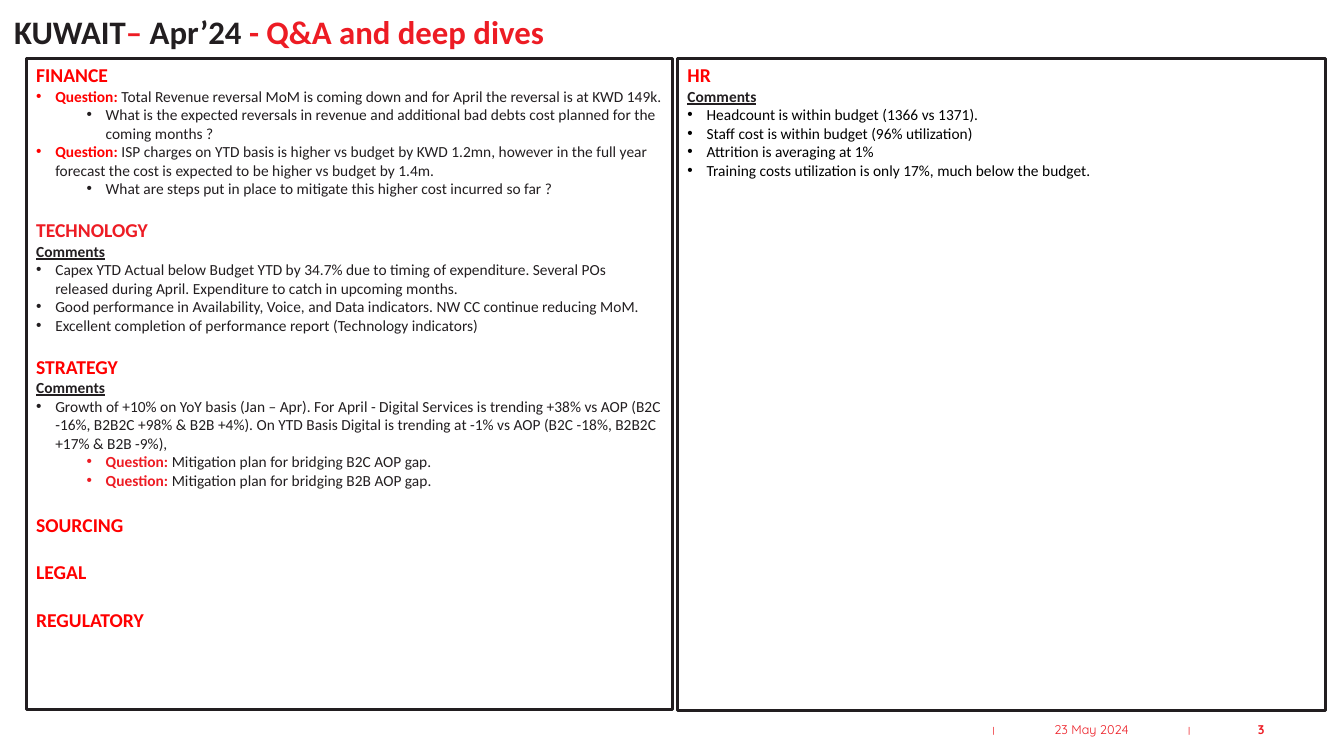
from dataclasses import dataclass

from lxml.etree import SubElement
from pptx import Presentation
from pptx.dml.color import RGBColor
from pptx.enum.shapes import MSO_SHAPE
from pptx.enum.text import MSO_ANCHOR, PP_ALIGN
from pptx.oxml.ns import qn
from pptx.util import Pt

EMU_PER_PX = 9144
COLORS = {
    "white": "FFFFFF",
    "ink": "221E20",
    "black": "000000",
    "red": "FF0000",
    "brand": "ED1C24",
}
BULLET_HANG = 19
LEVEL_INDENTS = (19, 69)


@dataclass
class Box:
    left: int
    top: int
    width: int
    height: int

    def emu(self) -> tuple[int, ...]:
        return tuple(px(v) for v in (self.left, self.top, self.width, self.height))


@dataclass
class Heading:
    text: str
    color: str = "red"
    gap: float = 0


@dataclass
class Comments:
    text: str = "Comments"


@dataclass
class Bullet:
    text: str
    level: int = 0
    color: str = "ink"
    question: str = ""


@dataclass
class Label:
    box: Box
    text: str
    font: str
    size: int
    align: PP_ALIGN
    bold: bool = False


Line = Heading | Comments | Bullet

LEFT_PANEL = [
    Heading("FINANCE"),
    Bullet("Total Revenue reversal MoM is coming down and for April the reversal is at KWD 149k.",
           question="red"),
    Bullet("What is the expected reversals in revenue and additional bad debts cost planned "
           "for the coming months ?", level=1),
    Bullet("ISP charges on YTD basis is higher vs budget by KWD 1.2mn, however in the full year "
           "forecast the cost is expected to be higher vs budget by 1.4m.", question="red"),
    Bullet("What are steps put in place to mitigate this higher cost incurred so far ?", level=1),
    Heading("TECHNOLOGY", "brand", gap=14.6),
    Comments(),
    Bullet("Capex YTD Actual below Budget YTD by 34.7% due to timing of expenditure. Several POs "
           "released during April. Expenditure to catch in upcoming months."),
    Bullet("Good performance in Availability, Voice, and Data indicators. "
           "NW CC continue reducing MoM."),
    Bullet("Excellent completion of performance report (Technology indicators)"),
    Heading("STRATEGY", gap=14.6),
    Comments(),
    Bullet("Growth of +10% on YoY basis (Jan – Apr). For April - Digital Services is trending "
           "+38% vs AOP (B2C -16%, B2B2C +98% & B2B +4%). On YTD Basis Digital is trending "
           "at -1% vs AOP (B2C -18%, B2B2C +17% & B2B -9%),"),
    Bullet("Mitigation plan for bridging B2C AOP gap.", level=1, question="brand"),
    Bullet("Mitigation plan for bridging B2B AOP gap.", level=1, question="brand"),
    Heading("SOURCING", gap=17),
    Heading("LEGAL", gap=17),
    Heading("REGULATORY", gap=17),
]
RIGHT_PANEL = [
    Heading("HR"),
    Comments(),
    Bullet("Headcount is within budget (1366 vs 1371).", color="black"),
    Bullet("Staff cost is within budget (96% utilization)", color="black"),
    Bullet("Attrition is averaging at 1%", color="black"),
    Bullet("Training costs utilization is only 17%, much below the budget.", color="black"),
]
PANELS = [
    (Box(672, 58, 643, 647), RIGHT_PANEL),
    (Box(26, 58, 641, 646), LEFT_PANEL),
]
FOOTER = [
    Label(Box(968, 714, 35, 20), "|", "Arial", 6, PP_ALIGN.CENTER),
    Label(Box(1164, 714, 31, 20), "|", "Arial", 6, PP_ALIGN.CENTER),
    Label(Box(987, 704, 191, 40), "23 May 2024", "Quicksand", 9, PP_ALIGN.CENTER),
    Label(Box(1178, 704, 86, 40), "3", "Quicksand", 9, PP_ALIGN.RIGHT, bold=True),
]
TITLE = [
    ("KUWAIT", "ink"),
    ("– ", "brand"),
    ("Apr’24", "ink"),
    (" - Q&A and deep dives", "brand"),
]


def px(value: int) -> int:
    return value * EMU_PER_PX


def rgb(name: str) -> RGBColor:
    return RGBColor.from_string(COLORS[name])


def add_run(p, text: str, *, size: float = 11, color: str = "ink", font: str = "Calibri",
            bold: bool = False, underline: bool = False) -> None:
    r = p.add_run()
    r.text = text
    r.font.name = font
    r.font.size = Pt(size)
    r.font.bold = bold
    r.font.underline = underline
    r.font.color.rgb = rgb(color)


def set_bullet(p, level: int) -> None:
    p.level = level
    pPr = p._p.get_or_add_pPr()
    pPr.set("marL", str(px(LEVEL_INDENTS[level])))
    pPr.set("indent", str(-px(BULLET_HANG)))
    SubElement(pPr, qn("a:buFont"), typeface="Arial")
    SubElement(pPr, qn("a:buChar"), char="•")


def write_line(p, line: Line) -> None:
    p.alignment = PP_ALIGN.LEFT
    match line:
        case Heading():
            if line.gap:
                p.space_before = Pt(line.gap)
            add_run(p, line.text, size=14, color=line.color, bold=True)
        case Comments():
            add_run(p, line.text, bold=True, underline=True)
        case Bullet():
            set_bullet(p, line.level)
            if line.question:
                add_run(p, "Question: ", color=line.question, bold=True)
            add_run(p, line.text, color=line.color)


def add_panel(slide, box: Box, lines: list[Line]) -> None:
    sp = slide.shapes.add_shape(MSO_SHAPE.RECTANGLE, *box.emu())
    sp.shadow.inherit = False
    sp.fill.solid()
    sp.fill.fore_color.rgb = rgb("white")
    sp.line.color.rgb = rgb("ink")
    sp.line.width = Pt(2)
    SubElement(sp.line._get_or_add_ln(), qn("a:round"))
    tf = sp.text_frame
    tf.word_wrap = True
    tf.vertical_anchor = MSO_ANCHOR.TOP
    for i, line in enumerate(lines):
        write_line(tf.add_paragraph() if i else tf.paragraphs[0], line)


def add_text_frame(slide, box: Box):
    tf = slide.shapes.add_textbox(*box.emu()).text_frame
    tf.word_wrap = True
    tf.vertical_anchor = MSO_ANCHOR.MIDDLE
    return tf


def add_label(slide, label: Label) -> None:
    p = add_text_frame(slide, label.box).paragraphs[0]
    p.alignment = label.align
    add_run(p, label.text, size=label.size, color="brand", font=label.font, bold=label.bold)


def add_title(slide) -> None:
    tf = add_text_frame(slide, Box(14, 11, 1317, 45))
    tf.margin_left = 0
    p = tf.paragraphs[0]
    p.line_spacing = 0.9
    for text, color in TITLE:
        add_run(p, text, size=23.4, color=color, bold=True)


def main() -> None:
    prs = Presentation()
    prs.slide_width, prs.slide_height = px(1333), px(750)
    slide = prs.slides.add_slide(prs.slide_layouts[6])
    for box, lines in PANELS:
        add_panel(slide, box, lines)
    for label in FOOTER:
        add_label(slide, label)
    add_title(slide)
    prs.save("out.pptx")


if __name__ == "__main__":
    main()
